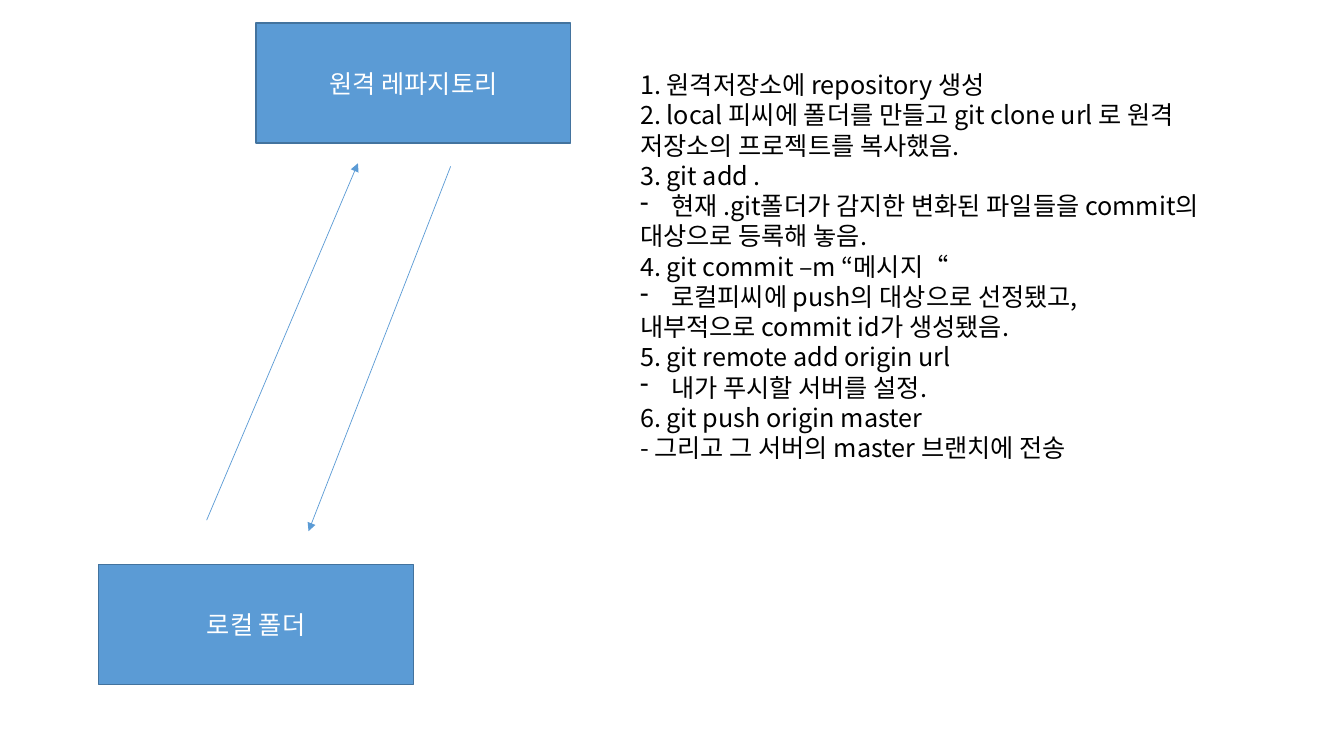
from typing import NamedTuple

from lxml import etree
from pptx import Presentation
from pptx.dml.color import RGBColor
from pptx.enum.shapes import MSO_CONNECTOR, MSO_SHAPE
from pptx.enum.text import MSO_ANCHOR, MSO_AUTO_SIZE, PP_ALIGN
from pptx.oxml.ns import qn
from pptx.util import Inches, Pt

RECT = MSO_SHAPE.RECTANGLE
STRAIGHT = MSO_CONNECTOR.STRAIGHT
LEFT, CENTER = PP_ALIGN.LEFT, PP_ALIGN.CENTER
TOP, MIDDLE = MSO_ANCHOR.TOP, MSO_ANCHOR.MIDDLE
GROW = MSO_AUTO_SIZE.SHAPE_TO_FIT_TEXT

BLUE = RGBColor(0x5B, 0x9B, 0xD5)
DARK_BLUE = RGBColor(0x43, 0x73, 0x9E)
WHITE = RGBColor(0xFF, 0xFF, 0xFF)
BLACK = RGBColor(0x00, 0x00, 0x00)

FONT = "Noto Sans CJK KR"
SIZE = Pt(18)
LINE_PITCH = Pt(21.6)
BULLET_INDENT = Inches(0.31)
SLIDE_W, SLIDE_H = Inches(13.33), Inches(7.5)
BOX_W, BOX_H = Inches(3.12), Inches(1.19)


class Box(NamedTuple):
    """A storage place, with its top left corner in inches."""
    label: str
    left: float
    top: float


class Arrow(NamedTuple):
    """A transfer between places, with its ends in inches."""
    start: tuple[float, float]
    end: tuple[float, float]


class Step(NamedTuple):
    """One line of the instructions."""
    text: str
    bullet: bool = False


BOXES = [Box("원격 레파지토리", 2.54, 0.23), Box("로컬 폴더", 0.98, 5.6)]
ARROWS = [
    Arrow((2.05, 5.16), (3.55, 1.62)),
    Arrow((4.47, 1.65), (3.06, 5.27)),
]
STEPS = [
    Step("1. 원격저장소에 repository 생성"),
    Step("2. local 피씨에 폴더를 만들고 git clone url 로 원격"),
    Step("저장소의 프로젝트를 복사했음."),
    Step("3. git add ."),
    Step("현재 .git폴더가 감지한 변화된 파일들을 commit의", bullet=True),
    Step("대상으로 등록해 놓음."),
    Step("4. git commit –m “메시지“"),
    Step("로컬피씨에 push의 대상으로 선정됐고,", bullet=True),
    Step("내부적으로 commit id가 생성됐음."),
    Step("5. git remote add origin url"),
    Step("내가 푸시할 서버를 설정.", bullet=True),
    Step("6. git push origin master"),
    Step("- 그리고 그 서버의 master 브랜치에 전송"),
]


def write(p, text: str, *, color: RGBColor, align=LEFT, bullet: bool = False) -> None:
    """Fill a paragraph with formatted text."""
    p.alignment = align
    p.line_spacing = LINE_PITCH
    r = p.add_run()
    r.text = text
    r.font.name, r.font.size = FONT, SIZE
    r.font.color.rgb = color
    etree.SubElement(r.font._element, qn("a:ea"), typeface=FONT)
    if bullet:
        p_pr = p._p.get_or_add_pPr()
        p_pr.set("marL", str(BULLET_INDENT))
        p_pr.set("indent", str(-BULLET_INDENT))
        etree.SubElement(p_pr, qn("a:buChar"), char="-")


def add_box(slide, box: Box) -> None:
    """Draw a labelled storage place."""
    sp = slide.shapes.add_shape(RECT, Inches(box.left), Inches(box.top), BOX_W, BOX_H)
    sp.shadow.inherit = False
    sp.fill.solid()
    sp.fill.fore_color.rgb = BLUE
    sp.line.color.rgb = DARK_BLUE
    sp.line.width = Pt(1)
    tf = sp.text_frame
    tf.vertical_anchor = MIDDLE
    write(tf.paragraphs[0], box.label, color=WHITE, align=CENTER)


def add_arrow(slide, arrow: Arrow) -> None:
    """Draw a thin line with an arrowhead at its end."""
    ends = [Inches(v) for v in arrow.start + arrow.end]
    cxn = slide.shapes.add_connector(STRAIGHT, *ends)
    cxn.line.color.rgb = BLUE
    cxn.line.width = Pt(0.5)
    etree.SubElement(cxn.line._get_or_add_ln(), qn("a:tailEnd"), type="triangle")
    etree.SubElement(cxn._element.spPr, qn("a:effectLst"))


def add_steps(slide, steps: list[Step]) -> None:
    """Write the instructions, one paragraph per line."""
    sp = slide.shapes.add_textbox(
        Inches(6.25), Inches(0.64), Inches(6.23), Inches(4.04))
    tf = sp.text_frame
    tf.word_wrap = False
    tf.auto_size = GROW
    tf.vertical_anchor = TOP
    for i, step in enumerate(steps):
        p = tf.add_paragraph() if i else tf.paragraphs[0]
        write(p, step.text, color=BLACK, bullet=step.bullet)


def main() -> None:
    """Build and save the slide."""
    prs = Presentation()
    prs.slide_width, prs.slide_height = SLIDE_W, SLIDE_H
    slide = prs.slides.add_slide(prs.slide_layouts[6])
    for box in BOXES:
        add_box(slide, box)
    add_steps(slide, STEPS)
    for arrow in ARROWS:
        add_arrow(slide, arrow)
    prs.save("out.pptx")


main()
